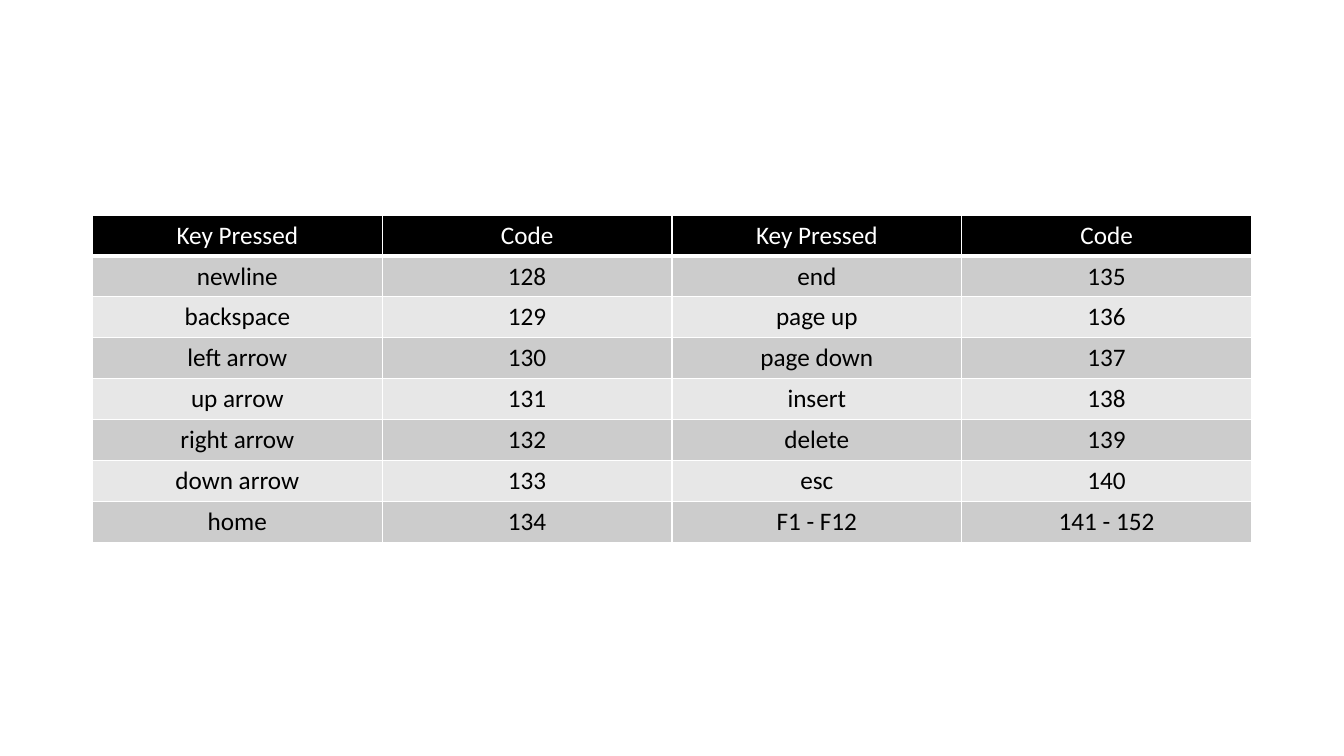
from lxml import etree
from pptx import Presentation
from pptx.dml.color import RGBColor
from pptx.enum.text import PP_ALIGN
from pptx.oxml.ns import qn
from pptx.util import Cm, Pt

CENTER = PP_ALIGN.CENTER
BLACK = RGBColor(0x00, 0x00, 0x00)
WHITE = RGBColor(0xFF, 0xFF, 0xFF)
DARK = RGBColor(0xCC, 0xCC, 0xCC)
LIGHT = RGBColor(0xE7, 0xE7, 0xE7)
FONT = "Calibri"

HEAD = ["Key Pressed", "Code"]
KEYS = [
    ["newline", "128", "end", "135"],
    ["backspace", "129", "page up", "136"],
    ["left arrow", "130", "page down", "137"],
    ["up arrow", "131", "insert", "138"],
    ["right arrow", "132", "delete", "139"],
    ["down arrow", "133", "esc", "140"],
    ["home", "134", "F1 - F12", "141 - 152"],
]


def write(frame, text, size=18, color=BLACK, align=CENTER):
    """Put one formatted line of text into a text frame."""
    line = frame.paragraphs[0]
    line.alignment = align
    run = line.add_run()
    run.text = text
    font = run.font
    font.name, font.size, font.bold = FONT, Pt(size), False
    font.color.rgb = color


def edge(cell, base=1):
    """Draw white borders around a cell, with its bottom width given in points."""
    props = cell._tc.get_or_add_tcPr()
    for side, width in (("L", 1), ("R", 1), ("T", 1), ("B", base)):
        line = etree.SubElement(props, qn(f"a:ln{side}"), w=str(Pt(width)))
        fill = etree.SubElement(line, qn("a:solidFill"))
        etree.SubElement(fill, qn("a:srgbClr"), val=str(WHITE))


def key_table(slide, left, top, width, height):
    """Fill the given box with the table of key codes."""
    rows = [HEAD * 2] + KEYS
    shape = slide.shapes.add_table(len(rows), len(rows[0]), left, top, width, height)
    for r, row in enumerate(rows):
        is_head = r == 0
        shade = BLACK if is_head else DARK if r % 2 else LIGHT
        for c, text in enumerate(row):
            cell = shape.table.cell(r, c)
            edge(cell, base=3 if is_head else 1)
            cell.fill.solid()
            cell.fill.fore_color.rgb = shade
            write(cell.text_frame, text, color=WHITE if is_head else BLACK)


def main():
    """Build the slide and save it."""
    deck = Presentation()
    deck.slide_width, deck.slide_height = Cm(33.87), Cm(19.05)
    slide = deck.slides.add_slide(deck.slide_layouts[6])
    key_table(slide, Cm(2.33), Cm(5.42), Cm(29.21), Cm(8.24))
    deck.save("out.pptx")


if __name__ == "__main__":
    main()
